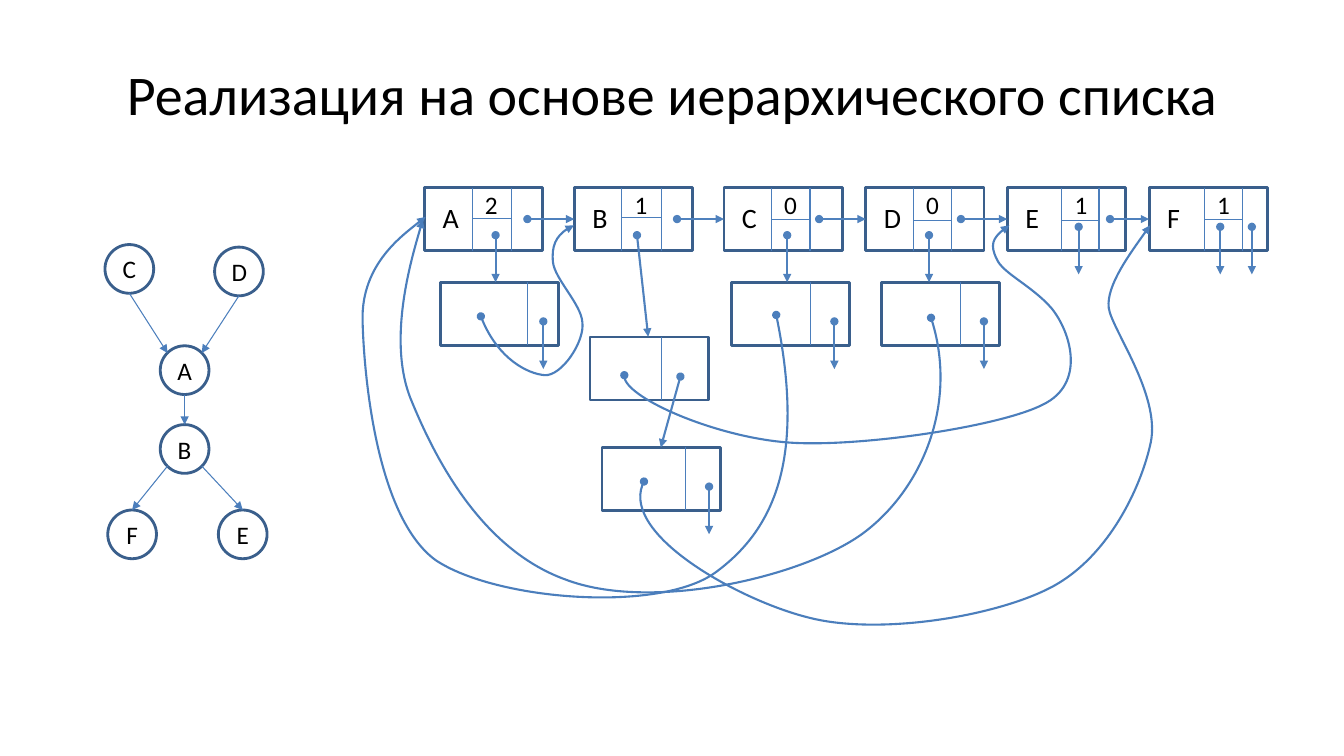
"""Build a slide that shows a directed graph stored as a hierarchical list."""
from lxml import etree
from pptx import Presentation
from pptx.dml.color import RGBColor
from pptx.enum.shapes import MSO_CONNECTOR, MSO_SHAPE
from pptx.enum.text import MSO_ANCHOR, PP_ALIGN
from pptx.oxml.ns import qn
from pptx.util import Pt

STRAIGHT = MSO_CONNECTOR.STRAIGHT
RECTANGLE, OVAL = MSO_SHAPE.RECTANGLE, MSO_SHAPE.OVAL
MIDDLE, TOP = MSO_ANCHOR.MIDDLE, MSO_ANCHOR.TOP
LEFT, CENTER = PP_ALIGN.LEFT, PP_ALIGN.CENTER

BLACK = RGBColor(0x00, 0x00, 0x00)
BORDER = RGBColor(0x3A, 0x5F, 0x8C)
THIN_BLUE = RGBColor(0x4B, 0x7E, 0xBC)
LINK_BLUE = RGBColor(0x4F, 0x81, 0xBD)

BOX_WIDTH, BOX_HEIGHT = 84.5, 45
ROW_TOP = 134
CIRCLE = 34.8
NULL_LENGTH = 34


def style_outline(shape, color, width, head=None, tail=None):
    shape.line.color.rgb = color
    shape.line.width = Pt(width)
    properties = shape.line._get_or_add_ln()
    for tag, kind in (("a:headEnd", head), ("a:tailEnd", tail)):
        if kind:
            etree.SubElement(properties, qn(tag), type=kind)
    etree.SubElement(properties.getparent(), qn("a:effectLst"))


def write_text(frame, text, size, alignment=LEFT, anchor=TOP, wrap=True):
    frame.word_wrap = wrap
    frame.vertical_anchor = anchor
    paragraph = frame.paragraphs[0]
    paragraph.text = text
    paragraph.alignment = alignment
    paragraph.font.name = "Calibri"
    paragraph.font.size = Pt(size)
    paragraph.font.color.rgb = BLACK


presentation = Presentation()
presentation.slide_width = Pt(960)
presentation.slide_height = Pt(540)
slide = presentation.slides.add_slide(presentation.slide_layouts[6])
shapes = slide.shapes

title = shapes.add_textbox(Pt(48), Pt(21.6), Pt(864), Pt(90))
write_text(title.text_frame, "Реализация на основе иерархического списка", 40, CENTER, MIDDLE)

# name, degree, left, two dividers, middle line, start of the link to the next node
vertices = [
    ("A", "2", 303.3, 34, 62, 156.2, 73.4),
    ("B", "1", 410.2, 34, 62, 155.6, 73.4),
    ("C", "0", 517.1, 34, 61.5, 157, 68),
    ("D", "0", 618.4, 34, 61.5, 157.6, 68),
    ("E", "1", 719.5, 39, 65.5, 157.6, 73.4),
    ("F", "1", 820.8, 39.5, 67, 157, None),
]
edge_cells = [
    (314.7, 201.6, 62, 73.4),
    (421.4, 240.8, 51.2, None),
    (430, 319.6, 59.5, 76.5),
    (522.6, 201.6, 56.5, 73.4),
    (629.4, 201.6, 56.5, 73.4),
]
boxes, dividers = [], []
links = [
    (354, 168, 354, 201.6),
    (455, 168, 463, 240.5),
    (562.3, 168, 562.3, 201.6),
    (663.6, 168, 663.6, 201.6),
    (486, 269, 472, 319.6),
]
for left, top in ((770.5, 162), (871.6, 162), (894.2, 162)):
    links.append((left, top, left, top + NULL_LENGTH))

for index, (name, degree, left, first, second, middle, link) in enumerate(vertices):
    boxes.append((left, ROW_TOP))
    for offset in (first, second):
        dividers.append((left + offset, ROW_TOP, left + offset, ROW_TOP + BOX_HEIGHT))
    dividers.append((left + first, middle, left + second, middle))
    if link:
        links.append((left + link, 156.5, vertices[index + 1][2], 156.5))
    label = shapes.add_textbox(Pt(left + 5.8), Pt(139.7), Pt(22.3), Pt(31.5))
    write_text(label.text_frame, name, 20)
    counter = shapes.add_textbox(Pt(left + first + 2), Pt(131.8), Pt(24), Pt(29))
    write_text(counter.text_frame, degree, 18, wrap=False)

for left, top, divider, null_link in edge_cells:
    boxes.append((left, top))
    dividers.append((left + divider, top, left + divider, top + BOX_HEIGHT))
    if null_link:
        links.append((left + null_link, top + 28, left + null_link, top + 28 + NULL_LENGTH))

for left, top in boxes:
    box = shapes.add_shape(RECTANGLE, Pt(left), Pt(top), Pt(BOX_WIDTH), Pt(BOX_HEIGHT))
    box.fill.background()
    style_outline(box, BORDER, 2)

circles = {
    "A": (114.5, 247), "B": (114.5, 303.3), "C": (75, 174.7),
    "D": (153.3, 176.5), "E": (156, 364.3), "F": (77, 364.3),
}
for name, (left, top) in circles.items():
    circle = shapes.add_shape(OVAL, Pt(left), Pt(top), Pt(CIRCLE), Pt(CIRCLE))
    circle.fill.background()
    style_outline(circle, BORDER, 2)
    write_text(circle.text_frame, name, 18, CENTER, MIDDLE)

top_point, bottom_point = (0.5, 0), (0.5, 1)
graph_edges = [
    ("A", bottom_point, "B", top_point),
    ("C", bottom_point, "A", (0.15, 0.15)),
    ("D", bottom_point, "A", (0.85, 0.15)),
    ("B", (0.85, 0.85), "E", top_point),
    ("B", (0.15, 0.85), "F", top_point),
]
arrows = []
for source, start, target, end in graph_edges:
    arrows.append([
        corner + CIRCLE * share
        for name, point in ((source, start), (target, end))
        for corner, share in zip(circles[name], point)
    ])

for lines, color, width, head, tail in (
    (dividers, THIN_BLUE, 0.75, None, None),
    (links, LINK_BLUE, 1.5, "oval", "triangle"),
    (arrows, THIN_BLUE, 0.75, None, "triangle"),
):
    for line in lines:
        connector = shapes.add_connector(STRAIGHT, *[Pt(value) for value in line])
        style_outline(connector, color, width, head, tail)

curves = [
    [(343.5, 226), (355, 256), (377, 267), (389, 268), (401, 269), (418, 244), (416, 230),
     (415, 217), (396, 199), (395, 187), (394, 176), (398, 166), (410, 161)],
    [(446, 268), (444, 283), (512, 312), (562, 316), (611, 320), (714, 305), (745, 289),
     (776, 274), (765, 237), (751, 220), (737, 204), (716, 195), (712, 185),
     (707, 175), (710, 168), (721, 161)],
    [(460, 344), (441, 381), (529, 429), (577, 441), (626, 454), (709, 441), (750, 420),
     (791, 399), (815, 349), (822, 316), (829, 282), (794, 235), (792, 220),
     (790, 204), (811, 176), (821.5, 161)],
    [(554.5, 225), (576, 329), (552, 379), (511, 409), (471, 438), (354, 429), (311, 400),
     (269, 369), (260, 269), (259, 229), (258, 188), (304, 155), (304, 155)],
    [(665, 227), (685, 288), (658, 351), (615, 382), (571, 413), (464, 437), (404, 414),
     (343, 392), (310, 326), (293, 284), (276, 240), (302, 157), (302, 157)],
]
for curve in curves:
    start, *controls = [(Pt(x), Pt(y)) for x, y in curve]
    builder = shapes.build_freeform(*start)
    builder.add_line_segments(controls, close=False)
    reference = builder.convert_to_shape()
    reference.fill.background()
    style_outline(reference, THIN_BLUE, 1.5, "oval", "triangle")
    segments = list(reference._element.iter(qn("a:lnTo")))
    for index in range(0, len(segments), 3):
        bezier = etree.SubElement(segments[index].getparent(), qn("a:cubicBezTo"))
        for segment in segments[index:index + 3]:
            bezier.append(segment[0])
            segment.getparent().remove(segment)

presentation.save("out.pptx")
